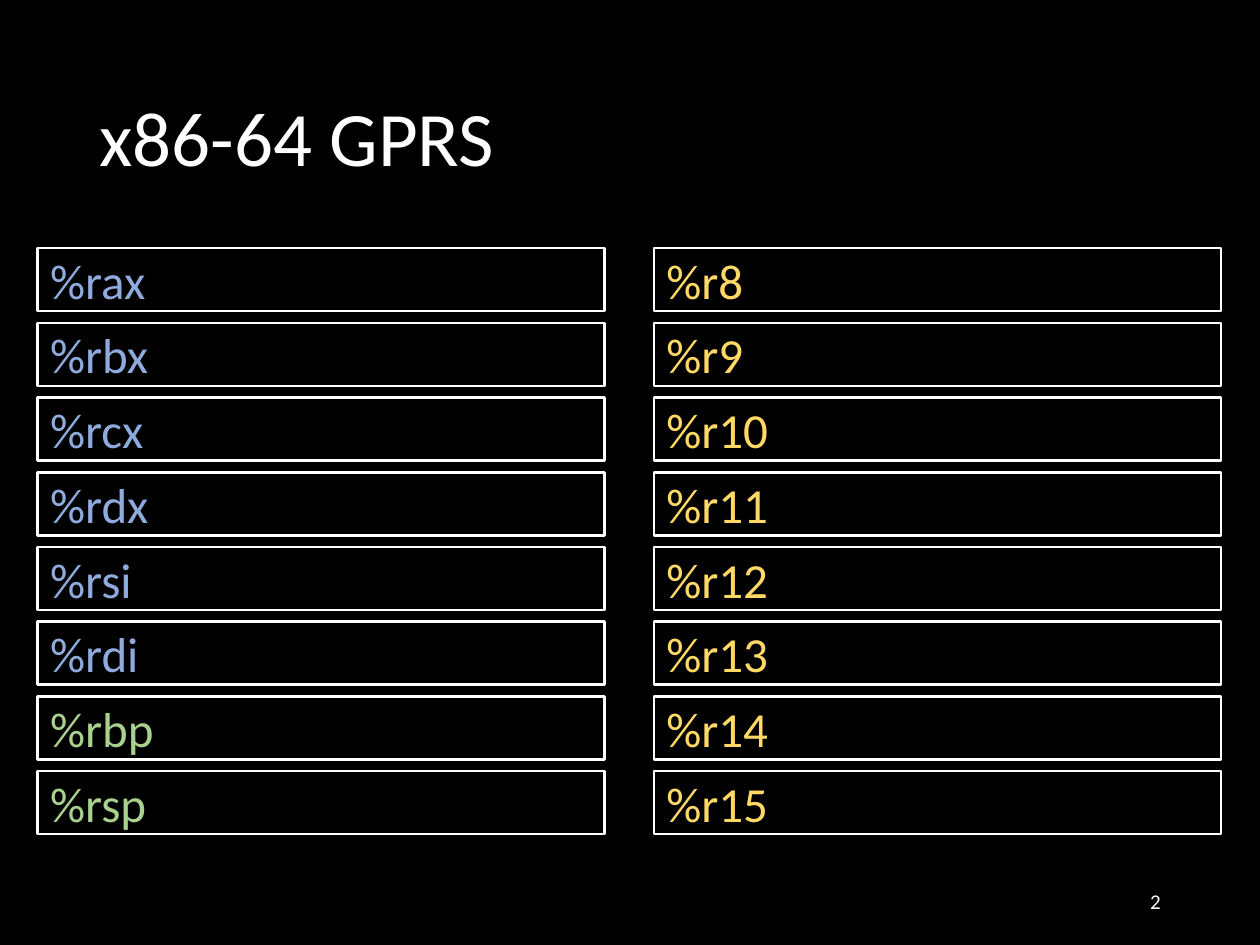
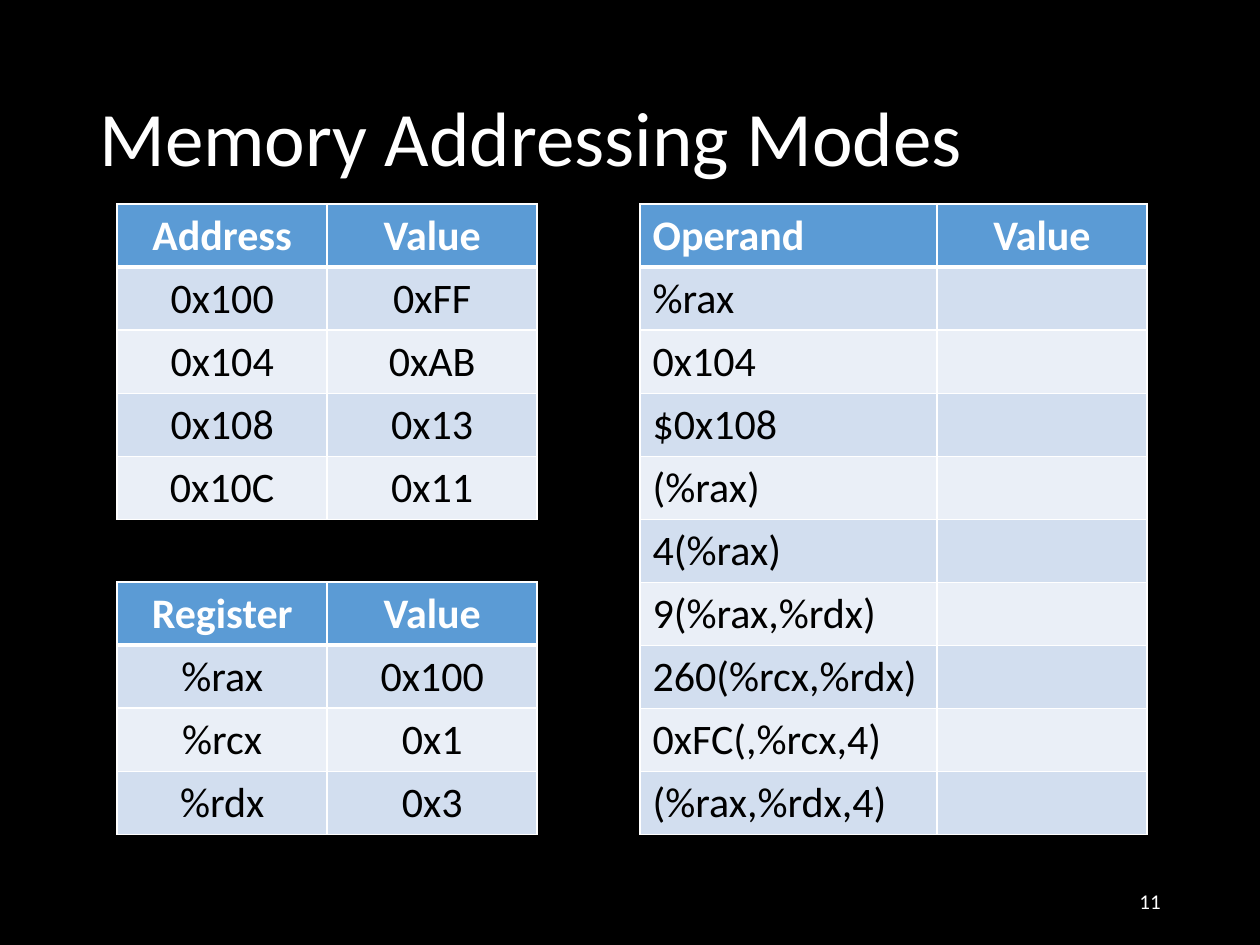
"""Build two slides on x86-64 registers and memory addressing modes."""
from dataclasses import dataclass

from lxml.etree import SubElement
from pptx import Presentation
from pptx.dml.color import RGBColor as RGB
from pptx.enum.shapes import MSO_SHAPE as SHAPE
from pptx.enum.text import MSO_ANCHOR as ANCHOR, PP_ALIGN as ALIGN
from pptx.oxml.ns import qn
from pptx.util import Inches, Pt


@dataclass(frozen=True)
class Theme:
    font: str = "Calibri"
    back: str = "000000"
    light: str = "FFFFFF"
    dark: str = "000000"
    general: str = "8FAADC"
    stack: str = "A9D18E"
    numbered: str = "FFD966"
    header: str = "5B9BD5"
    bands: tuple = ("D2DEEF", "EAEFF7")
    title_size: int = 44
    register_size: int = 28
    table_size: int = 24
    number_size: int = 12
    box_line: float = 1.5
    thin: int = 1
    thick: int = 3


theme = Theme()
prs = Presentation()
prs.slide_width, prs.slide_height = Inches(10), Inches(7.5)
COL = prs.slide_width / 100
ROW = prs.slide_height / 75


def place(x, y, w, h):
    return int(x * COL), int(y * ROW), int(w * COL), int(h * ROW)


def write(tf, text, size, color, align=ALIGN.LEFT, bold=False):
    tf.text = text
    p = tf.paragraphs[0]
    p.alignment = align
    for r in p.runs:
        r.font.name, r.font.size, r.font.bold = theme.font, Pt(size), bold
        r.font.color.rgb = RGB.from_string(color)
    return p


slides = []
for title, number in (("x86-64 GPRS", "2"), ("Memory Addressing Modes", "11")):
    s = prs.slides.add_slide(prs.slide_layouts[6])
    s.background.fill.solid()
    s.background.fill.fore_color.rgb = RGB.from_string(theme.back)
    for text, box, size, align, spacing in (
        (title, (6.9, 4, 86.2, 14.5), theme.title_size, ALIGN.LEFT, 0.9),
        (number, (70.6, 69.5, 22.5, 4), theme.number_size, ALIGN.RIGHT, 1.0),
    ):
        tf = s.shapes.add_textbox(*place(*box)).text_frame
        tf.word_wrap = True
        tf.vertical_anchor = ANCHOR.MIDDLE
        write(tf, text, size, theme.light, align).line_spacing = spacing
    slides.append(s)
registers, modes = slides

named = [(f"%r{n}", theme.general) for n in ("ax", "bx", "cx", "dx", "si", "di")]
named += [(f"%r{n}", theme.stack) for n in ("bp", "sp")]
numbered = [(f"%r{n}", theme.numbered) for n in range(8, 16)]
for x, names in ((3, named), (51.9, numbered)):
    for i, (name, color) in enumerate(names):
        sp = registers.shapes.add_shape(SHAPE.RECTANGLE, *place(x, 19.7 + 5.93 * i, 45, 5))
        sp.shadow.inherit = False
        sp.fill.background()
        sp.line.color.rgb = RGB.from_string(theme.light)
        sp.line.width = Pt(theme.box_line)
        sp.text_frame.vertical_anchor = ANCHOR.MIDDLE
        write(sp.text_frame, name, theme.register_size, color)

memory = [("Address", "Value"), ("0x100", "0xFF"), ("0x104", "0xAB"),
          ("0x108", "0x13"), ("0x10C", "0x11")]
contents = [("Register", "Value"), ("%rax", "0x100"), ("%rcx", "0x1"), ("%rdx", "0x3")]
operands = [("Operand", "Value")] + [(operand, "") for operand in (
    "%rax", "0x104", "$0x108", "(%rax)", "4(%rax)", "9(%rax,%rdx)",
    "260(%rcx,%rdx)", "0xFC(,%rcx,4)", "(%rax,%rdx,4)")]

for x, y, widths, first_align, rows in (
    (9.3, 16.2, (16.67, 16.67), ALIGN.CENTER, memory),
    (9.3, 46.2, (16.67, 16.67), ALIGN.CENTER, contents),
    (50.8, 16.2, (23.57, 16.67), ALIGN.LEFT, operands),
):
    box = place(x, y, sum(widths), 5 * len(rows))
    table = modes.shapes.add_table(len(rows), len(widths), *box).table
    for column, width in zip(table.columns, widths):
        column.width = int(width * COL)
    for i, row in enumerate(rows):
        head = i == 0
        fill = theme.header if head else theme.bands[(i - 1) % 2]
        edges = {"L": theme.thin, "R": theme.thin,
                 "T": theme.thick if i == 1 else theme.thin,
                 "B": theme.thick if head else theme.thin}
        for j, text in enumerate(row):
            cell = table.cell(i, j)
            write(cell.text_frame, text, theme.table_size, theme.light if head else theme.dark,
                  ALIGN.CENTER if j else first_align, head)
            tcPr = cell._tc.get_or_add_tcPr()
            for side, weight in edges.items():
                ln = SubElement(tcPr, qn(f"a:ln{side}"), w=str(Pt(weight)))
                SubElement(SubElement(ln, qn("a:solidFill")), qn("a:srgbClr"), val=theme.light)
            cell.fill.solid()
            cell.fill.fore_color.rgb = RGB.from_string(fill)

prs.save("out.pptx")
